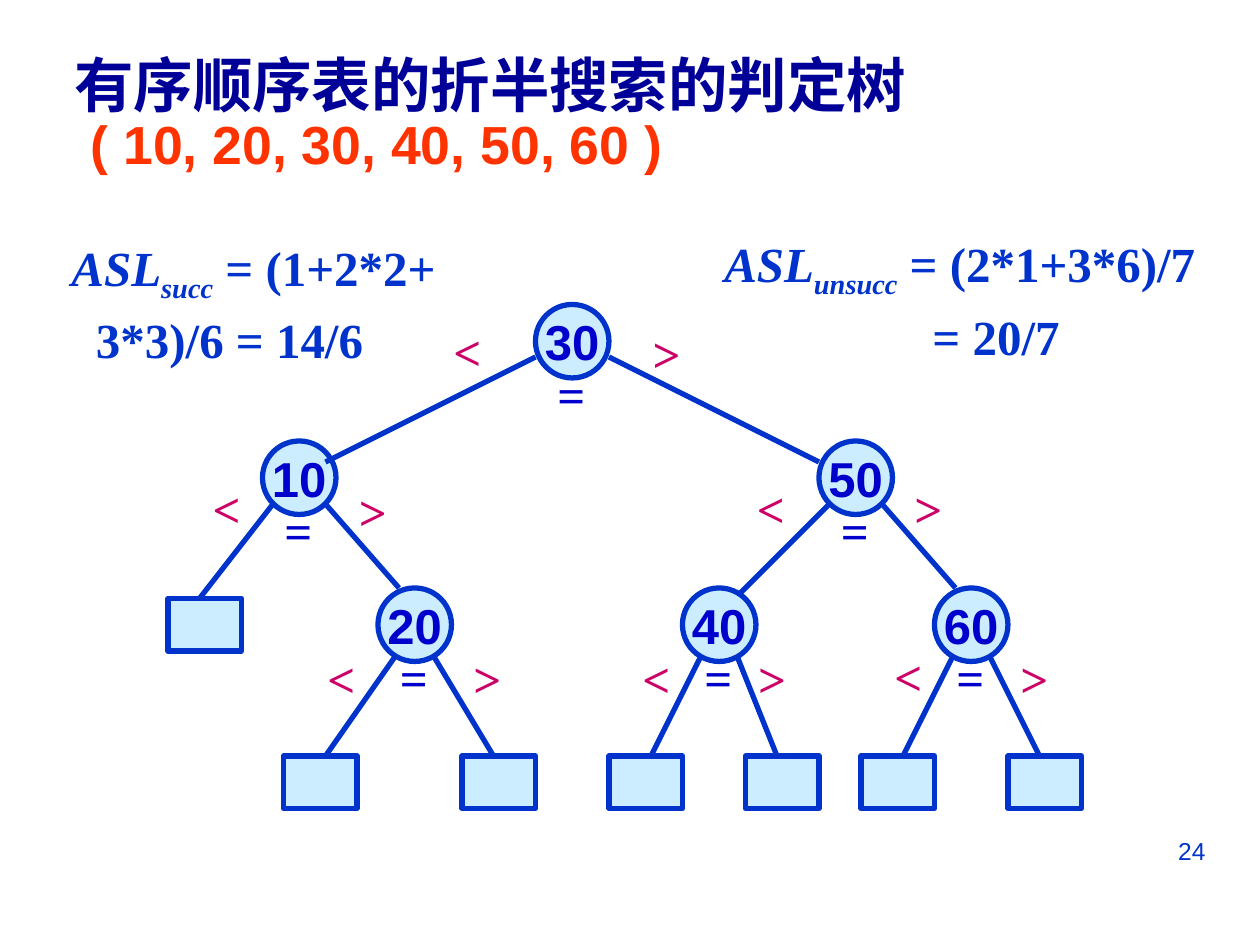
from lxml.etree import SubElement
from pptx import Presentation
from pptx.dml.color import RGBColor
from pptx.enum.shapes import MSO_CONNECTOR, MSO_SHAPE
from pptx.enum.text import MSO_ANCHOR, MSO_AUTO_SIZE, PP_ALIGN
from pptx.oxml.ns import qn
from pptx.util import Pt

SANS, SERIF = "Arial", "Times New Roman"
BLUE, NAVY, PALE, PINK = "0033CC", "0000CC", "CCECFF", "CC0066"
NODE = 42

UPPER_NODES = {"10": (150, 252), "50": (468, 252), "30": (306, 174)}
LOWER_NODES = {"20": (216, 336), "40": (390, 336), "60": (534, 336)}
LEAVES = [(96, 342)] + [(left, 432) for left in (162, 264, 348, 426, 492, 576)]
BRANCHES = [
    ("<", (252, 180), (306, 204), (186, 264)),
    (">", (365.8, 181.4), (348, 204), (468, 264)),
    ("<", (114.5, 270), (156, 288), (114, 342)),
    (">", (198, 271.4), (186, 288), (228, 336)),
    ("<", (425.5, 270), (474, 288), (420, 342)),
    (">", (515.5, 270), (504, 288), (546, 336)),
    ("<", (180, 367.2), (228, 372), (186, 432)),
    (">", (263.5, 367.2), (246, 372), (282, 432)),
    ("<", (360, 367.2), (402, 372), (372, 432)),
    (">", (426.2, 367.2), (420, 372), (444, 432)),
    ("<", (504, 365.8), (546, 372), (516, 432)),
    (">", (576, 367.2), (564, 372), (594, 432)),
]


def rgb(code):
    """Return the colour for a hex string."""
    return RGBColor.from_string(code)


def add_run(paragraph, text, size, color, font=SERIF, bold=True, italic=False):
    """Append one formatted run and return it."""
    run = paragraph.add_run()
    run.text = text
    run.font.size = Pt(size)
    run.font.name = font
    run.font.bold = bold
    run.font.italic = italic
    run.font.color.rgb = rgb(color)
    return run


def add_text_frame(slide, left, top, width, height, wrap=True):
    """Add a text box and return its text frame."""
    frame = slide.shapes.add_textbox(Pt(left), Pt(top), Pt(width), Pt(height)).text_frame
    frame.word_wrap = wrap
    return frame


def indent(paragraph, margin, first_line=0):
    """Set the left margin and first-line indent of a paragraph."""
    properties = paragraph._p.get_or_add_pPr()
    properties.set("marL", str(Pt(margin)))
    properties.set("indent", str(Pt(first_line)))


def add_box(slide, preset, left, top, width, height):
    """Add a pale preset shape with a blue outline."""
    box = slide.shapes.add_shape(preset, Pt(left), Pt(top), Pt(width), Pt(height))
    box.shadow.inherit = False
    box.fill.solid()
    box.fill.fore_color.rgb = rgb(PALE)
    box.line.color.rgb = rgb(BLUE)
    box.line.width = Pt(3)
    return box


def add_sign(slide, sign, left, top, color):
    """Add a comparison sign."""
    frame = add_text_frame(slide, left, top, 30, 41, wrap=False)
    frame.auto_size = MSO_AUTO_SIZE.SHAPE_TO_FIT_TEXT
    add_run(frame.paragraphs[0], sign, 28, color)


def add_node(slide, key, left, top):
    """Add a round tree node with its equals sign below."""
    frame = add_box(slide, MSO_SHAPE.OVAL, left, top, NODE, NODE).text_frame
    frame.word_wrap = False
    frame.vertical_anchor = MSO_ANCHOR.MIDDLE
    frame.paragraphs[0].alignment = PP_ALIGN.CENTER
    add_run(frame.paragraphs[0], key, 28, NAVY, SANS)
    add_sign(slide, "=", left + 5.5, top + 30.5, NAVY)


def add_edge(slide, start, end):
    """Add a tree edge."""
    edge = slide.shapes.add_connector(MSO_CONNECTOR.STRAIGHT, *map(Pt, start + end))
    edge.line.color.rgb = rgb(BLUE)
    edge.line.width = Pt(3)
    SubElement(edge._element.spPr, qn("a:effectLst"))


def add_title(slide):
    """Add the heading and the list of keys."""
    frame = add_text_frame(slide, 28, 28, 588, 96)
    frame.margin_left, frame.margin_top = Pt(14.4), Pt(7.2)
    heading, keys = frame.paragraphs[0], frame.add_paragraph()
    for paragraph in (heading, keys):
        paragraph.line_spacing = 0.8
        indent(paragraph, 21, -21)
    add_run(heading, "有序顺序表的折半搜索的判定树", 34, "000099", SANS)
    add_run(keys, " ", 34, "000099", SANS)
    add_run(keys, "( 10, 20, 30, 40, 50, 60 )", 30.6, "FF3300", SANS)


def add_formula(slide, place, subscript, first, second, margin, wrap):
    """Add a two-line average search length formula."""
    frame = add_text_frame(slide, *place, wrap=wrap)
    frame.auto_size = MSO_AUTO_SIZE.SHAPE_TO_FIT_TEXT
    opening, closing = frame.paragraphs[0], frame.add_paragraph()
    add_run(opening, "ASL", 28, BLUE, italic=True)
    lowered = add_run(opening, subscript, 28, BLUE, italic=True)
    lowered.font._element.set("baseline", "-25000")
    add_run(opening, first, 28, BLUE)
    indent(closing, margin)
    add_run(closing, second, 28, BLUE)
    for paragraph in (opening, closing):
        paragraph.line_spacing = 1.1


def add_page_number(slide):
    """Add the page number."""
    paragraph = add_text_frame(slide, 516, 474, 180, 37.5).paragraphs[0]
    paragraph.alignment = PP_ALIGN.RIGHT
    add_run(paragraph, "24", 14, BLUE, SANS, bold=False)


def main():
    """Build the decision tree slide."""
    deck = Presentation()
    deck.slide_width, deck.slide_height = Pt(720), Pt(540)
    slide = deck.slides.add_slide(deck.slide_layouts[6])
    add_page_number(slide)
    add_title(slide)
    for key, place in UPPER_NODES.items():
        add_node(slide, key, *place)
    for place in LEAVES:
        add_box(slide, MSO_SHAPE.RECTANGLE, *place, NODE, 30)
    for sign, place, start, end in BRANCHES:
        add_edge(slide, start, end)
        add_sign(slide, sign, *place, PINK)
    for key, place in LOWER_NODES.items():
        add_node(slide, key, *place)
    add_formula(slide, (406.8, 126, 283.7, 79.2), "unsucc",
                " = (2*1+3*6)/7", "= 20/7", 119, wrap=False)
    add_formula(slide, (33.8, 128.2, 228.2, 79.2), "succ",
                " = (1+2*2+", "3*3)/6 = 14/6", 14, wrap=True)
    deck.save("out.pptx")


if __name__ == "__main__":
    main()
